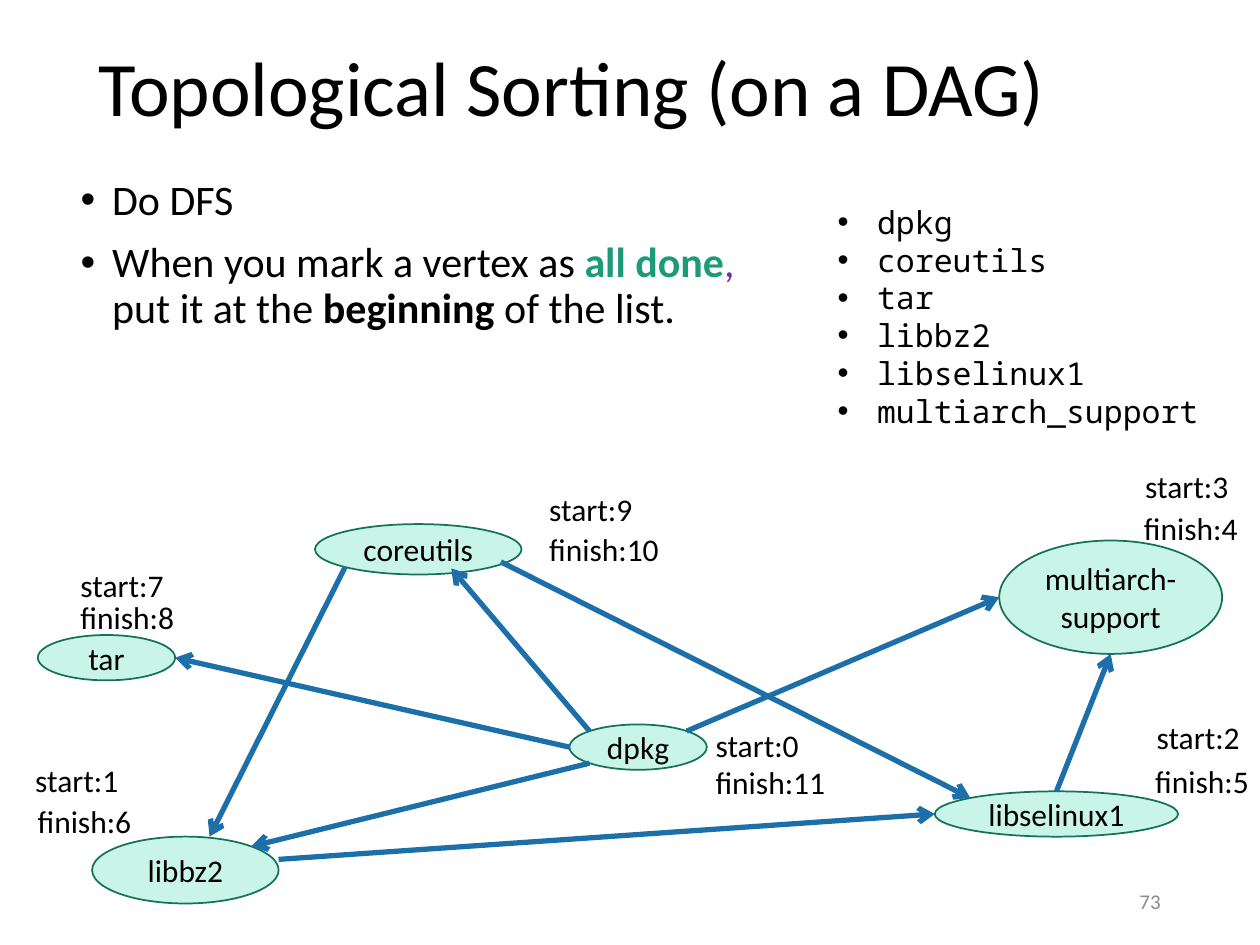
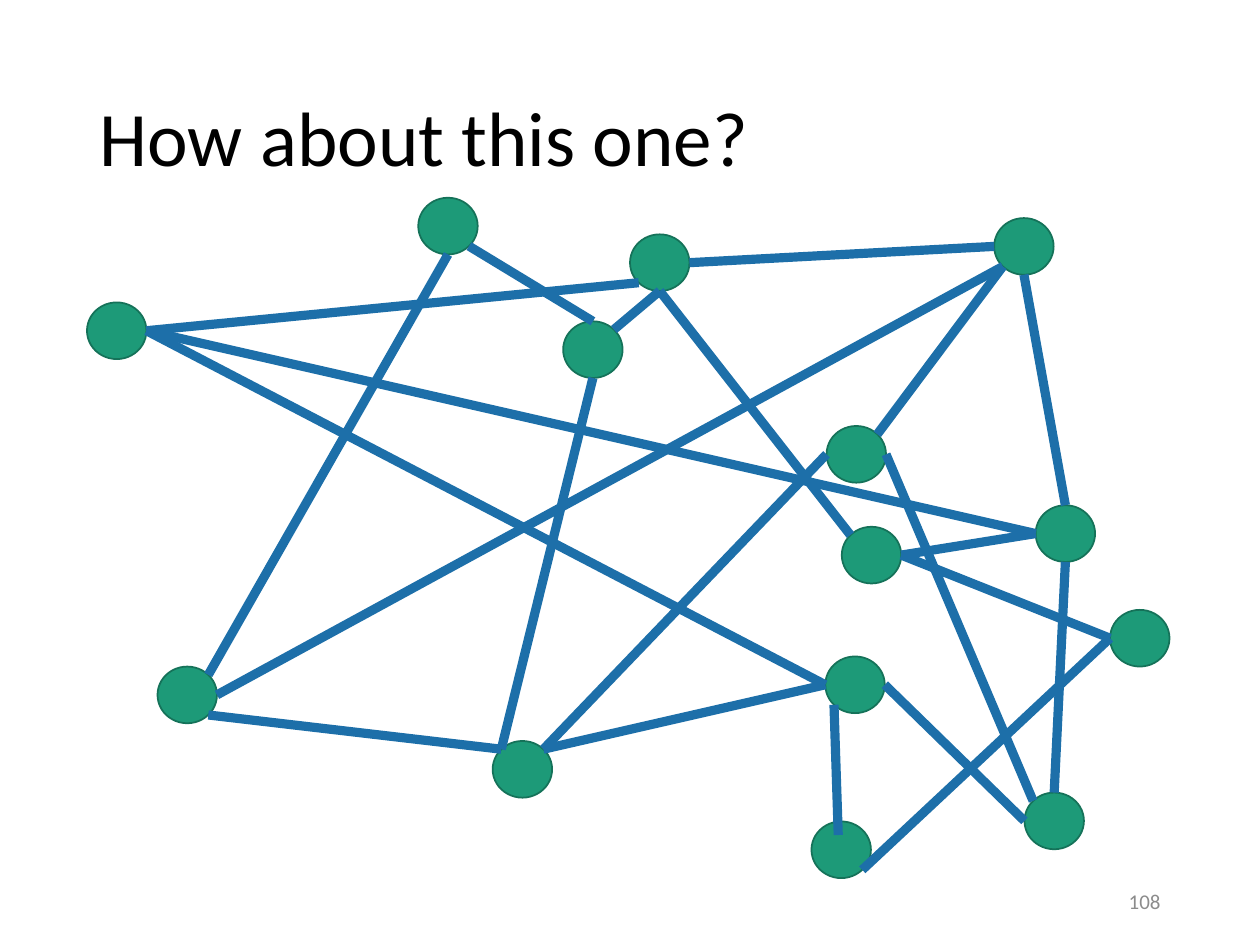
import pptx
import pptx.dml.color
import pptx.enum.shapes
import pptx.enum.text
import pptx.oxml.ns
import pptx.util
from lxml import etree

Pt = pptx.util.Pt
RGBColor = pptx.dml.color.RGBColor
ALIGN = pptx.enum.text.PP_ALIGN
ANCHOR = pptx.enum.text.MSO_ANCHOR
qn = pptx.oxml.ns.qn

BLACK = RGBColor(0x00, 0x00, 0x00)
GREY = RGBColor(0x8C, 0x8C, 0x8C)
GREEN = RGBColor(0x1D, 0x9A, 0x78)
DARK_GREEN = RGBColor(0x15, 0x72, 0x59)
MINT = RGBColor(0xC8, 0xF5, 0xE8)
BLUE = RGBColor(0x1D, 0x6F, 0xA9)
PURPLE = RGBColor(0x70, 0x30, 0xA0)

SANS = "Calibri"
MONO = "Noto Sans Mono"
NUMBER_BOX = (508.3, 500.4, 162, 28.8)

SITES = {
    "N": (0.5, 0), "NE": (0.854, 0.146), "E": (1, 0.5), "SE": (0.854, 0.854),
    "S": (0.5, 1), "SW": (0.146, 0.854), "W": (0, 0.5), "NW": (0.146, 0.146),
}

STEPS = [
    [("Do DFS", BLACK, False)],
    [("When you mark a vertex as ", BLACK, False), ("all done", GREEN, True),
     (", ", PURPLE, False), ("put it at the ", BLACK, False),
     ("beginning", BLACK, True), (" of the list.", BLACK, False)],
]
SORTED_PACKAGES = ["dpkg", "coreutils", "tar", "libbz2", "libselinux1", "multiarch_support"]

PACKAGES = {
    "tar": (11.6, 102.9, 78.5, 25.9),
    "coreutils": (170, 39.5, 118, 28.8),
    "dpkg": (315.4, 154, 78.5, 25.9),
    "libbz2": (42.6, 218.1, 106.6, 38.2),
    "libselinux1": (524.2, 192.2, 139, 25.9),
    "multiarch-support": (561, 48.9, 127.4, 64.8),
}
DEPENDENCIES = [
    ("dpkg", "SW", "libbz2", "NE"),
    ("dpkg", "NW", "coreutils", (0.66, 0.88)),
    ("dpkg", "NE", "multiarch-support", "W"),
    ("dpkg", "W", "tar", "E"),
    ("coreutils", (0.9, 0.75), "libselinux1", "NW"),
    ("coreutils", "SW", "libbz2", (0.63, 0)),
    ("libbz2", (1, 0.34), "libselinux1", "W"),
    ("libselinux1", "N", "multiarch-support", "S"),
]
TIMES = [
    ("start:0", 391.8, 151.1), ("finish:11", 391.8, 172.7),
    ("start:1", 3, 171.3), ("finish:6", 4.4, 195),
    ("start:2", 643.8, 146.8), ("finish:5", 643, 172),
    ("start:3", 637.3, 3.5), ("finish:4", 636.6, 27.3),
    ("start:7", 28.9, 59.7), ("finish:8", 28.9, 78.4),
    ("start:9", 296.7, 16.5), ("finish:10", 296.7, 39.5),
]

VERTEX_SIZE = (34, 32.4)
VERTEX_CORNERS = {
    "A": (0, 59.8), "B": (189.3, 0), "C": (272.1, 70.6), "D": (310.3, 20.9),
    "E": (518.4, 11.6), "F": (422.6, 130.4), "G": (431.3, 188), "H": (542.1, 175.7),
    "I": (584.6, 235.5), "J": (421.9, 262.1), "K": (535.7, 339.9), "L": (414, 356.4),
    "M": (231.8, 310.4), "N": (40.3, 267.9),
}
LINKS = [
    ("H", "W", "A", "E"), ("J", "W", "A", "E"), ("H", "W", "G", "E"),
    ("I", "W", "G", "E"), ("I", "W", "L", "SE"), ("F", "W", "M", "NE"),
    ("N", "E", "E", "SW"), ("K", "N", "H", "S"), ("K", "W", "J", "E"),
    ("D", "E", "E", "W"), ("J", "W", "M", "NE"), ("J", "SW", "L", (0.45, 0.24)),
    ("H", "N", "E", "S"), ("D", "S", "G", "NW"), ("B", "SE", "C", "N"),
    ("A", "E", "D", "SW"), ("B", "S", "N", "NE"), ("F", "NE", "E", "SW"),
    ("M", "NW", "C", "S"), ("K", "NW", "F", "E"), ("M", "NW", "N", "SE"),
    ("D", "S", "C", "NE"),
]


def apply(target, formats):
    """Set every attribute named in a dict of format values."""
    for name, value in formats.items():
        setattr(target, name, value)


def place(part, box):
    """Move a part to a box given in points."""
    apply(part, dict(zip(("left", "top", "width", "height"), map(Pt, box))))


def write(paragraph, text, size, color=BLACK, font=SANS, bold=False):
    """Append one formatted run to a paragraph."""
    run = paragraph.add_run()
    run.text = text
    apply(run.font, {"size": Pt(size), "name": font, "bold": bold})
    run.font.color.rgb = color


def add_bullet(paragraph, indent):
    """Give a paragraph a round bullet with a hanging indent in points."""
    properties = paragraph._p.get_or_add_pPr()
    properties.set("marL", str(int(Pt(indent))))
    properties.set("indent", str(-int(Pt(indent))))
    etree.SubElement(properties, qn("a:buFont")).set("typeface", "Arial")
    etree.SubElement(properties, qn("a:buChar")).set("char", "•")


def add_text_box(slide, box, wrap=True):
    """Add an empty text box and return its text frame."""
    label = slide.shapes.add_textbox(*map(Pt, box))
    label.text_frame.word_wrap = wrap
    return label.text_frame


def add_title(slide, box, text):
    """Fill the title placeholder."""
    place(slide.shapes.title, box)
    frame = slide.shapes.title.text_frame
    apply(frame, {"vertical_anchor": ANCHOR.MIDDLE, "word_wrap": True,
                  "auto_size": pptx.enum.text.MSO_AUTO_SIZE.NONE})
    heading = frame.paragraphs[0]
    apply(heading, {"alignment": ALIGN.LEFT, "line_spacing": 0.9})
    write(heading, text, 44)


def add_page_number(slide, number):
    """Write the page number at the bottom right."""
    frame = add_text_box(slide, NUMBER_BOX)
    frame.vertical_anchor = ANCHOR.MIDDLE
    frame.paragraphs[0].alignment = ALIGN.RIGHT
    write(frame.paragraphs[0], number, 12, GREY)


def add_steps(slide, box):
    """Fill the body placeholder with the steps of the algorithm."""
    body = slide.placeholders[1]
    place(body, box)
    frame = body.text_frame
    frame.auto_size = pptx.enum.text.MSO_AUTO_SIZE.NONE
    for index, runs in enumerate(STEPS):
        step = frame.add_paragraph() if index else frame.paragraphs[0]
        add_bullet(step, 18)
        apply(step, {"line_spacing": 0.9, "space_before": Pt(10 if index else 0)})
        for text, color, bold in runs:
            write(step, text, 24, color, bold=bold)


def add_sorted_list(slide, box):
    """List the packages in topological order."""
    frame = add_text_box(slide, box)
    for index, package_name in enumerate(SORTED_PACKAGES):
        entry = frame.add_paragraph() if index else frame.paragraphs[0]
        add_bullet(entry, 22.5)
        write(entry, package_name, 18, font=MONO)


def add_vertex(slide, box, fill, label=""):
    """Draw one ellipse with an optional centred label."""
    vertex = slide.shapes.add_shape(pptx.enum.shapes.MSO_SHAPE.OVAL, *map(Pt, box))
    vertex.shadow.inherit = False
    vertex.fill.solid()
    vertex.fill.fore_color.rgb = fill
    vertex.line.color.rgb = DARK_GREEN
    vertex.line.width = Pt(1)
    if label:
        apply(vertex.text_frame, {
            "word_wrap": True, "vertical_anchor": ANCHOR.MIDDLE, "margin_left": 0,
            "margin_right": 0, "margin_top": 0, "margin_bottom": 0})
        vertex.text_frame.paragraphs[0].alignment = ALIGN.CENTER
        write(vertex.text_frame.paragraphs[0], label, 18)


def site_point(box, site):
    """Return the point of a box at a compass site or a pair of fractions."""
    across, down = SITES[site] if isinstance(site, str) else site
    left, top, width, height = box
    return left + across * width, top + down * height


def add_edge(slide, start, end, width, arrow):
    """Draw one straight edge between two points."""
    edge = slide.shapes.add_connector(
        pptx.enum.shapes.MSO_CONNECTOR.STRAIGHT, *map(Pt, start + end))
    edge.line.color.rgb = BLUE
    edge.line.width = Pt(width)
    if arrow:
        etree.SubElement(edge.line._get_or_add_ln(), qn("a:tailEnd")).set("type", "arrow")
    etree.SubElement(edge._element.spPr, qn("a:effectLst"))


def add_graph(slide, origin, vertices, edges, fill, width, labelled):
    """Draw vertices and edges from an origin; a labelled graph has arrows."""
    left, top = origin
    placed = {name: (left + x, top + y, w, h) for name, (x, y, w, h) in vertices.items()}
    for name, box in placed.items():
        add_vertex(slide, box, fill, name if labelled else "")
    for source, source_site, target, target_site in edges:
        add_edge(slide, site_point(placed[source], source_site),
                 site_point(placed[target], target_site), width, labelled)


def add_times(slide, origin):
    """Write the start and finish times beside the vertices."""
    left, top = origin
    for text, x, y in TIMES:
        frame = add_text_box(slide, (left + x, top + y, 85, 21.6), wrap=False)
        write(frame.paragraphs[0], text, 18)


def build_sorting_slide(deck):
    """Build the slide with the sorted package graph."""
    slide = deck.slides.add_slide(deck.slide_layouts[1])
    graph_origin = (10, 260)
    add_title(slide, (49, 11.5, 620.6, 81.4), "Topological Sorting (on a DAG)")
    add_steps(slide, (38.9, 98.6, 416.2, 277.2))
    add_sorted_list(slide, (471.6, 112.3, 248.4, 138.2))
    add_page_number(slide, "73")
    add_graph(slide, graph_origin, PACKAGES, DEPENDENCIES, MINT, 3, labelled=True)
    add_times(slide, graph_origin)


def build_question_slide(deck):
    """Build the slide with the unlabelled graph."""
    slide = deck.slides.add_slide(deck.slide_layouts[5])
    add_title(slide, (49.7, 28.8, 620.6, 104.4), "How about this one?")
    vertices = {name: corner + VERTEX_SIZE for name, corner in VERTEX_CORNERS.items()}
    add_graph(slide, (49.7, 113), vertices, LINKS, GREEN, 5.25, labelled=False)
    add_page_number(slide, "108")


def main():
    """Build and save the presentation."""
    deck = pptx.Presentation()
    apply(deck, {"slide_width": Pt(720), "slide_height": Pt(540)})
    build_sorting_slide(deck)
    build_question_slide(deck)
    deck.save("out.pptx")


if __name__ == "__main__":
    main()
